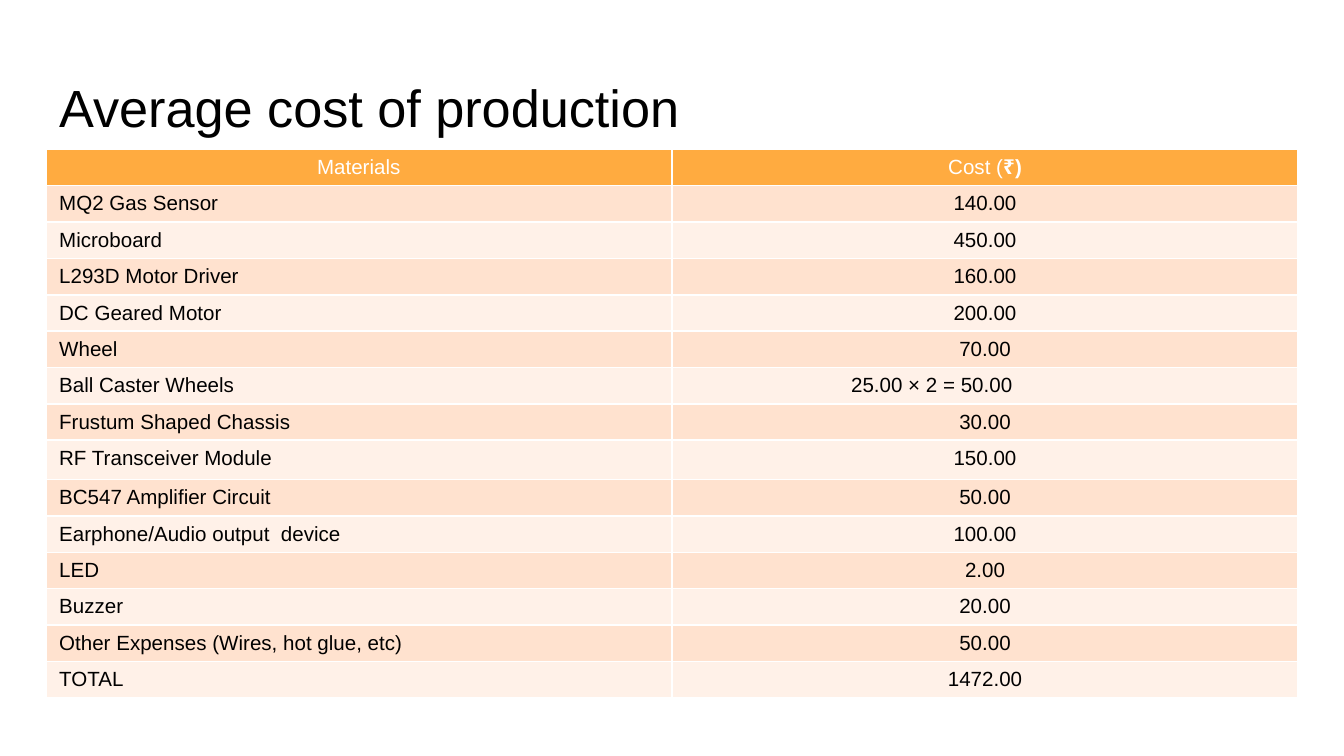
from pptx import Presentation
from pptx.dml.color import RGBColor
from pptx.enum.text import MSO_ANCHOR, PP_ALIGN
from pptx.util import Pt

COLORS = {
    "text": "000000",
    "header_text": "FFFFFF",
    "header": "FFAB40",
    "band_dark": "FFE2CF",
    "band_light": "FFF1E8",
}
FONT = "Arial"
HEADER = ("Materials", "Cost (")
COSTS = [
    ("MQ2 Gas Sensor", "140.00"),
    ("Microboard", "450.00"),
    ("L293D Motor Driver", "160.00"),
    ("DC Geared Motor", "200.00"),
    ("Wheel", "70.00"),
    ("Ball Caster Wheels", "25.00 × 2 = 50.00"),
    ("Frustum Shaped Chassis", "30.00"),
    ("RF Transceiver Module", "150.00"),
    ("BC547 Amplifier Circuit", "50.00"),
    ("Earphone/Audio output  device", "100.00"),
    ("LED", "2.00"),
    ("Buzzer", "20.00"),
    ("Other Expenses (Wires, hot glue, etc)", "50.00"),
    ("TOTAL", "1472.00"),
]
LEFT, WIDTH = 24.5, 671
ROW_HEIGHT, TALL_ROW_HEIGHT, TALL_ROW = 19.4, 21.2, 8
CASTER_ROW, CASTER_INDENT = 6, 96


class SlideBuilder:
    def __init__(self, presentation):
        self.slide = presentation.slides.add_slide(presentation.slide_layouts[5])

    def style(self, paragraph, size, color, alignment=PP_ALIGN.LEFT):
        paragraph.alignment = alignment
        paragraph.font.name = FONT
        paragraph.font.size = Pt(size)
        paragraph.font.color.rgb = RGBColor.from_string(COLORS[color])

    def title(self, text, top, height):
        title = self.slide.shapes.title
        title.left, title.top = Pt(LEFT), Pt(top)
        title.width, title.height = Pt(WIDTH), Pt(height)
        frame = title.text_frame
        frame.text = text
        frame.vertical_anchor = MSO_ANCHOR.TOP
        frame.margin_left = frame.margin_right = frame.margin_bottom = Pt(7.2)
        frame.margin_top = Pt(11)
        self.style(frame.paragraphs[0], 28, "text")

    def cell(self, cell, text, fill, color, alignment):
        cell.fill.solid()
        cell.fill.fore_color.rgb = RGBColor.from_string(COLORS[fill])
        cell.text = text
        paragraph = cell.text_frame.paragraphs[0]
        self.style(paragraph, 11, color, alignment)
        paragraph.runs[0].font.bold = False
        return paragraph

    def table(self, rows, top):
        height = ROW_HEIGHT * (len(rows) - 1) + TALL_ROW_HEIGHT
        table = self.slide.shapes.add_table(
            len(rows), 2, Pt(LEFT), Pt(top), Pt(WIDTH), Pt(height)
        ).table
        for row_index, row in enumerate(rows):
            tall = row_index == TALL_ROW
            table.rows[row_index].height = Pt(TALL_ROW_HEIGHT if tall else ROW_HEIGHT)
            is_header = row_index == 0
            band = "band_dark" if row_index % 2 else "band_light"
            for column_index, text in enumerate(row):
                centered = is_header or (column_index == 1 and row_index != CASTER_ROW)
                self.cell(
                    table.cell(row_index, column_index),
                    text,
                    "header" if is_header else band,
                    "header_text" if is_header else "text",
                    PP_ALIGN.CENTER if centered else PP_ALIGN.LEFT,
                )
        return table


def main():
    presentation = Presentation()
    presentation.slide_width, presentation.slide_height = Pt(720), Pt(405)
    builder = SlideBuilder(presentation)
    builder.title("Average cost of production", 29.5, 45.4)
    table = builder.table([HEADER] + COSTS, 80)
    currency = table.cell(0, 1).text_frame.paragraphs[0].add_run()
    currency.text = "₹)"
    currency.font.bold = True
    table.cell(CASTER_ROW, 1).margin_left = Pt(CASTER_INDENT)
    presentation.save("out.pptx")


if __name__ == "__main__":
    main()
